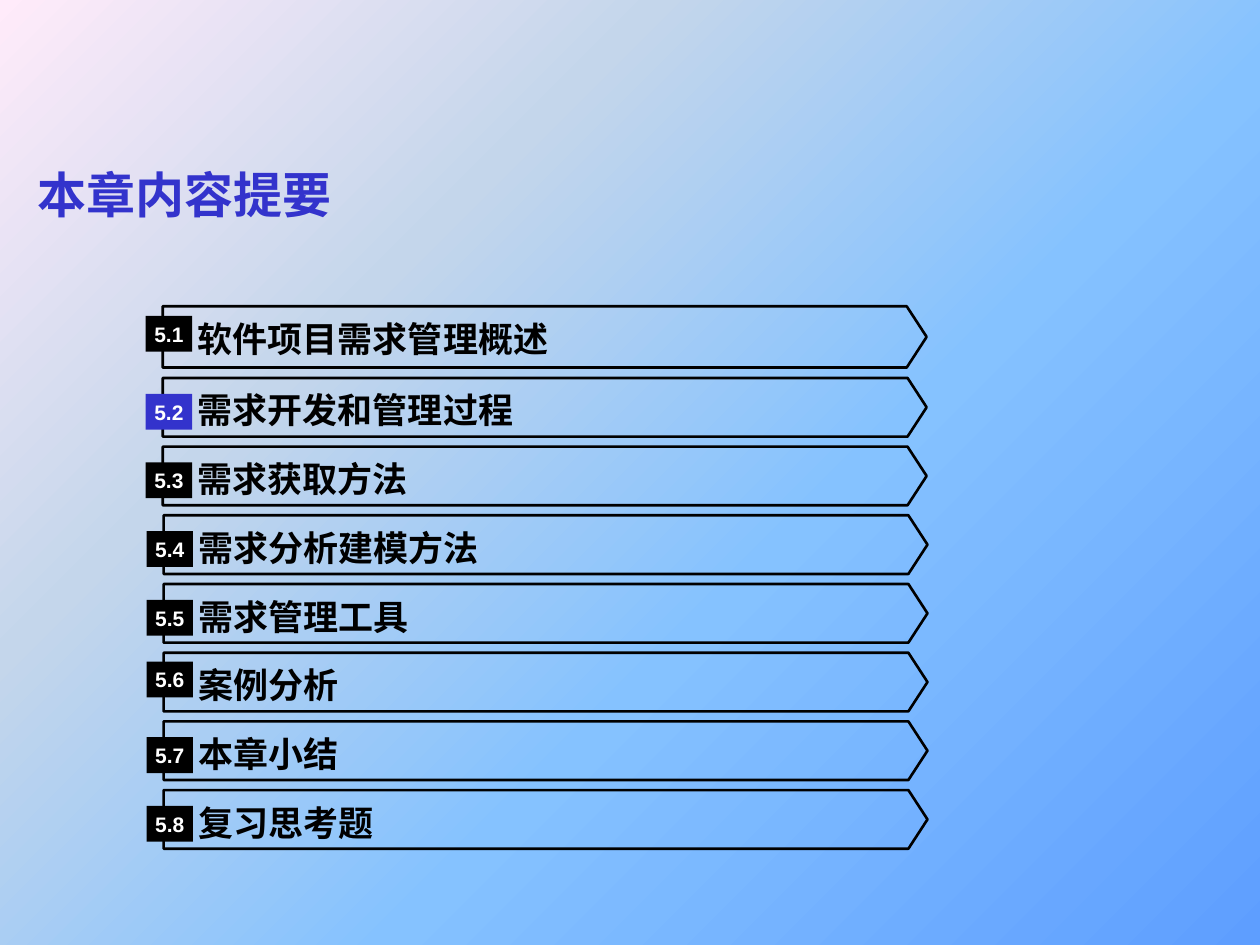
"""Build the chapter outline slide with numbered section arrows."""
import lxml.etree
import pptx
import pptx.dml.color
import pptx.enum.shapes
import pptx.enum.text
import pptx.oxml.ns
import pptx.util

Pt = pptx.util.Pt
ALIGN = pptx.enum.text.PP_ALIGN
AUTO_SIZE = pptx.enum.text.MSO_AUTO_SIZE
SHAPE = pptx.enum.shapes.MSO_SHAPE

TITLE = "本章内容提要"
SECTIONS = [
    # number, heading, badge colour, badge offset
]
SECTIONS = [
    ("5.1", "软件项目需求管理概述", "000000", 5.5),
    ("5.2", "需求开发和管理过程", "3333CC", 9),
    ("5.3", "需求获取方法", "000000", 9),
    ("5.4", "需求分析建模方法", "000000", 9),
    ("5.5", "需求管理工具", "000000", 9),
    ("5.6", "案例分析", "000000", 5),
    ("5.7", "本章小结", "000000", 9),
    ("5.8", "复习思考题", "000000", 9),
]
GRADIENT = [(0, "5E9EFF"), (40, "85C2FF"), (70, "C4D6EB"), (100, "FFEBFA")]
FIRST_TOP, SECOND_TOP, ROW_STEP = 175, 216, 39.25


def color(hex_string):
    return pptx.dml.color.RGBColor.from_string(hex_string)


def write(shape, text, font="Arial", size=12, ink="000000", align=ALIGN.LEFT,
          inset=0, auto_size=AUTO_SIZE.NONE):
    frame = shape.text_frame
    frame.word_wrap = True
    frame.auto_size = auto_size
    frame.vertical_anchor = pptx.enum.text.MSO_ANCHOR.MIDDLE
    frame.margin_left = frame.margin_right = Pt(inset)
    frame.margin_top = frame.margin_bottom = Pt(inset / 2)
    paragraph = frame.paragraphs[0]
    paragraph.alignment = align
    run = paragraph.add_run()
    run.text = text
    run.font.name, run.font.size, run.font.bold = font, Pt(size), True
    run.font.color.rgb = color(ink)


def add_shape(slide, kind, left, top, width, height, fill=None, line=None):
    shape = slide.shapes.add_shape(kind, Pt(left), Pt(top), Pt(width), Pt(height))
    shape.shadow.inherit = False
    if fill:
        shape.fill.solid()
        shape.fill.fore_color.rgb = color(fill)
    else:
        shape.fill.background()
    if line:
        shape.line.color.rgb = color(line)
        shape.line.width = Pt(1.5)
    else:
        shape.line.fill.background()
    return shape


def paint_background(slide):
    fill = slide.background.fill
    fill.gradient()
    fill.gradient_angle = 135
    qn = pptx.oxml.ns.qn
    stops = next(slide.element.iter(qn("a:gsLst")))
    for stop in list(stops):
        stops.remove(stop)
    for position, hex_string in GRADIENT:
        stop = lxml.etree.SubElement(stops, qn("a:gs"), pos=str(position * 1000))
        lxml.etree.SubElement(stop, qn("a:srgbClr"), val=hex_string)


def add_section(slide, index, number, heading, fill, badge_offset):
    top = SECOND_TOP + (index - 1) * ROW_STEP if index else FIRST_TOP
    left = 93 if index < 3 else 93.5
    height = 33.5 if index else 35
    arrow = add_shape(slide, SHAPE.PENTAGON, left, top, 436.5, height, line="000000")
    arrow.adjustments[0] = 0.325
    label = slide.shapes.add_textbox(Pt(left + 20), Pt(top + 6), Pt(387.5), Pt(24.5))
    write(label, heading, font="Times New Roman", size=20,
          auto_size=AUTO_SIZE.SHAPE_TO_FIT_TEXT)
    badge = add_shape(slide, SHAPE.RECTANGLE, left - 9.75, top + badge_offset,
                      26.5, 20.5, fill=fill)
    write(badge, number, ink="FFFFFF", align=ALIGN.CENTER)


def main():
    presentation = pptx.Presentation()
    presentation.slide_width, presentation.slide_height = Pt(720), Pt(540)
    slide = presentation.slides.add_slide(presentation.slide_layouts[5])
    paint_background(slide)
    title = slide.shapes.title
    title.left, title.top, title.width, title.height = Pt(14.5), Pt(83), Pt(692), Pt(56)
    write(title, TITLE, size=28, ink="3333CC", inset=7.2)
    for index, section in enumerate(SECTIONS):
        add_section(slide, index, *section)
    presentation.save("out.pptx")


if __name__ == "__main__":
    main()
